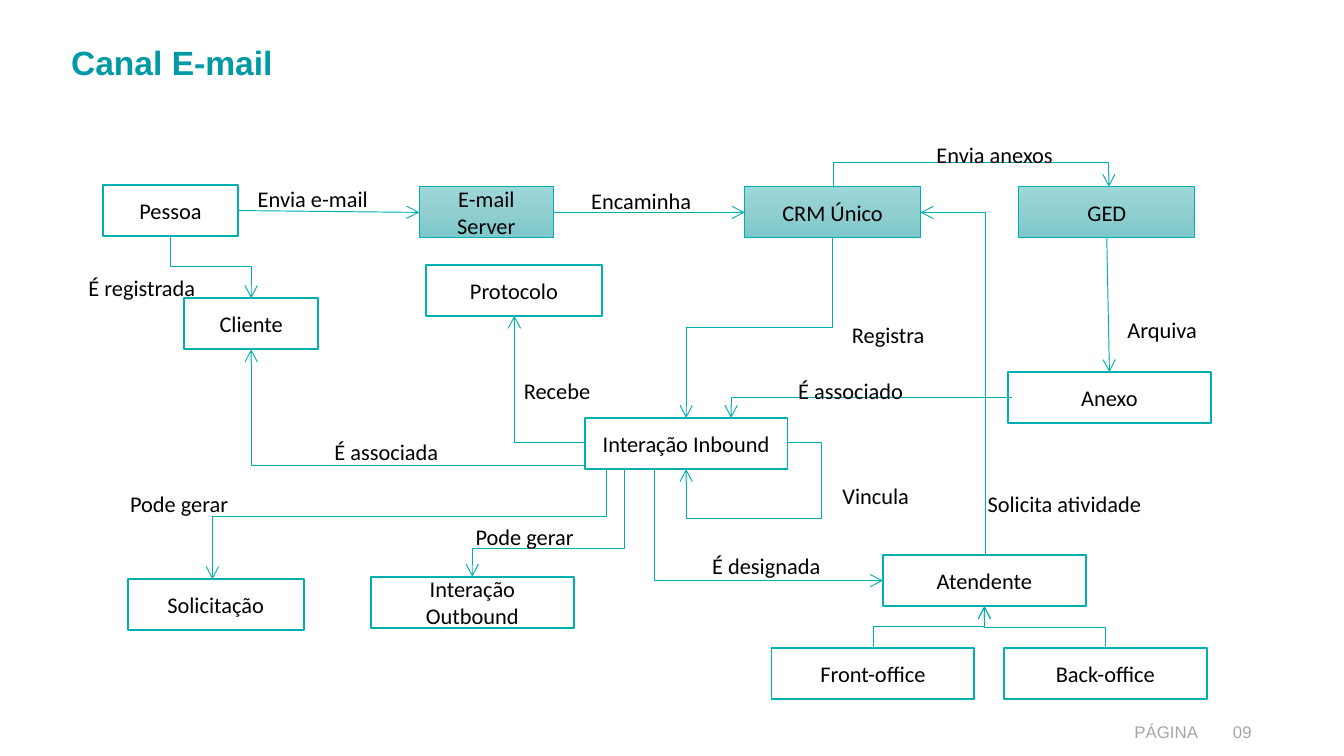
from copy import deepcopy
from lxml import etree
from pptx import Presentation
from pptx.dml.color import RGBColor
from pptx.enum.shapes import MSO_CONNECTOR, MSO_SHAPE
from pptx.enum.text import MSO_ANCHOR, MSO_AUTO_SIZE, PP_ALIGN
from pptx.oxml.ns import qn
from pptx.util import Pt

RECTANGLE = MSO_SHAPE.RECTANGLE
STRAIGHT, ELBOW = MSO_CONNECTOR.STRAIGHT, MSO_CONNECTOR.ELBOW
MIDDLE, TOP = MSO_ANCHOR.MIDDLE, MSO_ANCHOR.TOP
LEFT, CENTER, RIGHT = PP_ALIGN.LEFT, PP_ALIGN.CENTER, PP_ALIGN.RIGHT
GROW = MSO_AUTO_SIZE.SHAPE_TO_FIT_TEXT

COLORS = {
    "line": "00AFB2", "white": "FFFFFF", "text": "000000",
    "title": "009AA6", "footer": "A6A6A6",
    "light": "9DD8DA", "medium": "90CED0", "dark": "7CC8CA",
}
BOX_HEIGHT = 27.4
SMALL, MEDIUM, LARGE = 72, 94.3, 108.7

deck = Presentation()
deck.slide_width, deck.slide_height = Pt(720), Pt(405)
page = deck.slides.add_slide(deck.slide_layouts[6])


def write(shape, text, size=12, font="Calibri", color="text", bold=False,
          align=LEFT, anchor=TOP, wrap=True):
    frame = shape.text_frame
    frame.word_wrap = wrap
    frame.vertical_anchor = anchor
    paragraph = frame.paragraphs[0]
    paragraph.alignment = align
    span = paragraph.add_run()
    span.text = text
    span.font.size = Pt(size)
    span.font.name = font
    span.font.bold = bold
    span.font.color.rgb = RGBColor.from_string(COLORS[color])
    return paragraph


def connect(begin, end, bends=0, vertical=False, turns=(), arrow="tailEnd"):
    (x1, y1), (x2, y2) = begin, end
    if vertical:
        middle_x, middle_y = (x1 + x2) / 2, (y1 + y2) / 2
        half_x, half_y = (y2 - y1) / 2, (x1 - x2) / 2
        x1, y1 = middle_x - half_x, middle_y - half_y
        x2, y2 = middle_x + half_x, middle_y + half_y
    connector = page.shapes.add_connector(
        ELBOW if bends else STRAIGHT, Pt(x1), Pt(y1), Pt(x2), Pt(y2))
    connector.line.color.rgb = RGBColor.from_string(COLORS["line"])
    connector.line.width = Pt(0.5)
    properties = connector.element.spPr
    if vertical:
        properties.find(qn("a:xfrm")).set("rot", "5400000")
    if bends:
        geometry = properties.find(qn("a:prstGeom"))
        geometry.set("prst", f"bentConnector{bends + 1}")
        adjustments = geometry.find(qn("a:avLst"))
        for index, turn in enumerate(turns):
            axis = 1 if vertical else index
            share = (turn - begin[axis]) / (end[axis] - begin[axis])
            etree.SubElement(adjustments, qn("a:gd"), name=f"adj{index + 1}",
                             fmla=f"val {round(share * 100000)}")
    etree.SubElement(properties.find(qn("a:ln")), qn(f"a:{arrow}"), type="arrow")
    etree.SubElement(properties, qn("a:effectLst"))
    return connector


boxes = {}
for name, left, top, width, shaded in [
    ("Interação Inbound", 313.2, 223.9, LARGE, False),
    ("E-mail Server", 224.6, 100.1, SMALL, True),
    ("Pessoa", 55.4, 99.1, SMALL, False),
    ("Cliente", 98.6, 159.8, SMALL, False),
    ("CRM Único", 398.9, 100.1, MEDIUM, True),
    ("Anexo", 540, 199.4, LARGE, False),
    ("GED", 545.8, 100.1, MEDIUM, True),
    ("Protocolo", 228.2, 141.8, MEDIUM, False),
    ("Atendente", 473, 297.4, LARGE, False),
    ("Back-office", 537.8, 347, LARGE, False),
    ("Front-office", 413.3, 347, LARGE, False),
    ("Solicitação", 68.4, 310.3, MEDIUM, False),
    ("Interação Outbound", 198.7, 308.9, LARGE, False),
]:
    box = page.shapes.add_shape(RECTANGLE, Pt(left), Pt(top), Pt(width), Pt(BOX_HEIGHT))
    box.shadow.inherit = False
    box.line.color.rgb = RGBColor.from_string(COLORS["line"])
    box.line.width = Pt(0.5 if shaded else 1)
    if shaded:
        box.fill.gradient()
        box.fill.gradient_angle = 270
        first_stop = box.element.spPr.find(".//" + qn("a:gs"))
        first_stop.addnext(deepcopy(first_stop))
        for stop, position, color in zip(box.fill.gradient_stops, (0, 0.5, 1),
                                         ("light", "medium", "dark")):
            stop.position = position
            stop.color.rgb = RGBColor.from_string(COLORS[color])
    else:
        box.fill.solid()
        box.fill.fore_color.rgb = RGBColor.from_string(COLORS["white"])
    write(box, name, align=CENTER, anchor=MIDDLE)
    boxes[name] = box

for source, source_side, target, target_side in [
    ("Pessoa", 3, "E-mail Server", 1),
    ("E-mail Server", 3, "CRM Único", 1),
    ("GED", 2, "Anexo", 0),
]:
    link = connect((0, 0), (1, 1))
    link.begin_connect(boxes[source], source_side)
    link.end_connect(boxes[target], target_side)

for begin, end, turns in [
    ((446, 127.5), (367.6, 223.9), ()),
    ((446.4, 100.8), (594, 100.1), (87.5,)),
    ((467.7, 347), (527.4, 324.8), ()),
    ((592.2, 347), (527.4, 324.8), ()),
    ((324.7, 250.6), (113.8, 310.3), (276.7,)),
    ((334.8, 250.6), (253, 308.9), (294,)),
    ((91.4, 126.3), (134.6, 159.8), ()),
]:
    connect(begin, end, bends=2, vertical=True, turns=turns)

for begin, end, arrow in [
    ((313.2, 249.5), (134.6, 187.2), "tailEnd"),
    ((313.2, 237), (275.6, 169.2), "tailEnd"),
    ((493.2, 113.8), (527.8, 297.4), "headEnd"),
    ((542.2, 213.1), (391.7, 223.9), "tailEnd"),
    ((473, 311.1), (350.9, 250.9), "headEnd"),
]:
    connect(begin, end, bends=1, arrow=arrow)

connect((421.9, 237), (367.6, 251.3), bends=3, turns=(440.2, 277.9))

for text, left, top, width in [
    ("Envia e-mail", 131, 95.8, 74.2),
    ("Encaminha", 309.6, 96.5, 68.4),
    ("Registra", 449.3, 168.5, 54),
    ("Arquiva", 596.9, 165.6, 51.8),
    ("Envia anexos", 494.6, 72, 77.8),
    ("É associada", 172.1, 231.1, 71.3),
    ("Recebe", 273.6, 198.7, 50.4),
    ("Solicita atividade", 522, 259.2, 97.9),
    ("Vincula", 444.2, 254.9, 50.4),
    ("Pode gerar", 62.6, 259.2, 67.7),
    ("É associado", 420.5, 198.7, 71.3),
    ("Pode gerar", 247.7, 276.5, 67.7),
    ("É registrada", 40.3, 143.3, 72),
    ("É designada", 374.4, 292.3, 73.4),
]:
    label = page.shapes.add_textbox(Pt(left), Pt(top), Pt(width), Pt(21.6))
    write(label, text, wrap=False)
    label.text_frame.auto_size = GROW

title = page.shapes.add_textbox(Pt(31), Pt(21.6), Pt(607), Pt(62))
write(title, "Canal E-mail", size=18, font="Arial", color="title", bold=True).line_spacing = 0.9

for text, left, width in [("09", 638, 39.6), ("PÁGINA", 31, 617.8)]:
    footer = page.shapes.add_textbox(Pt(left), Pt(383), Pt(width), Pt(21.6))
    write(footer, text, size=9, font="Arial", color="footer", align=RIGHT)

deck.save("out.pptx")
